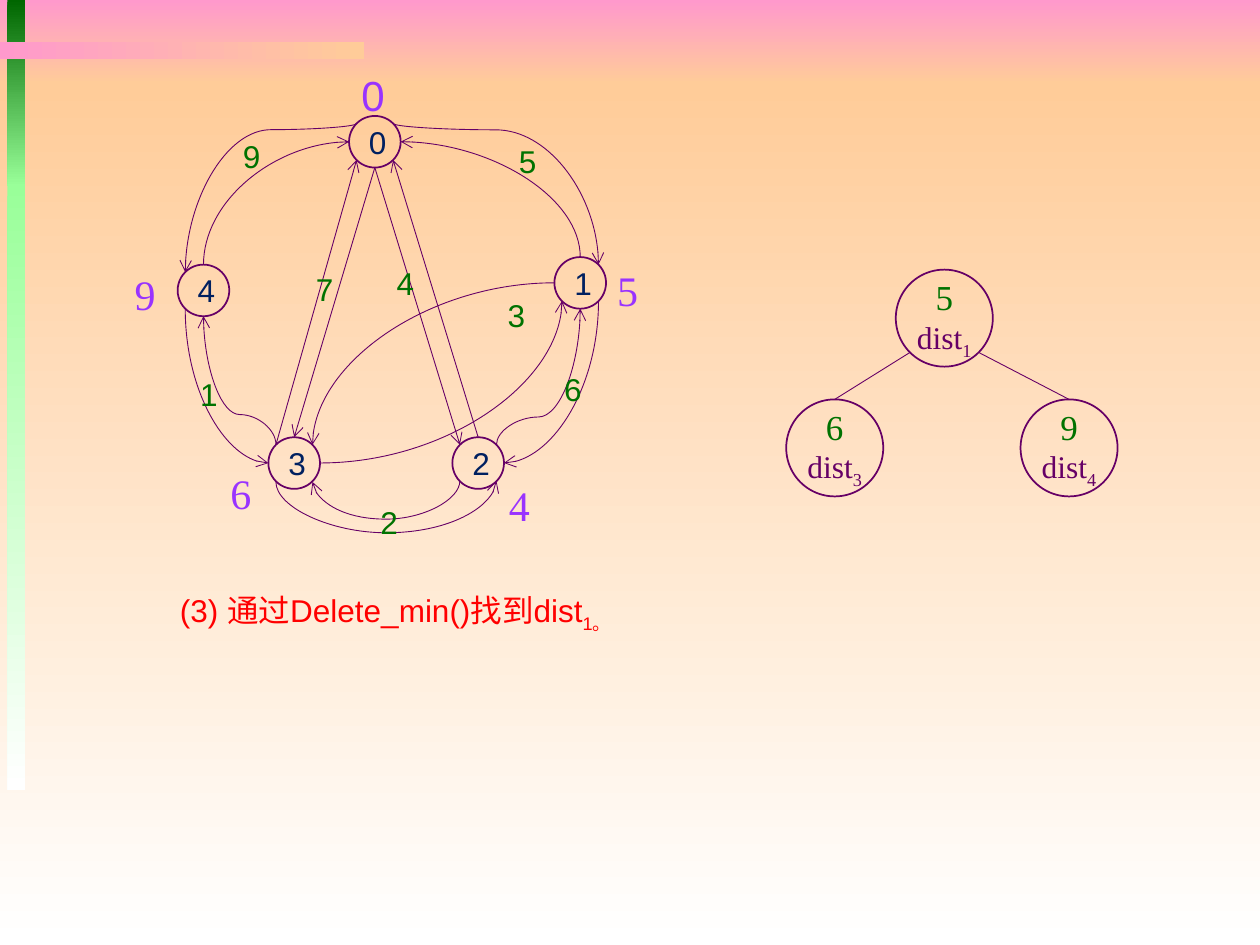
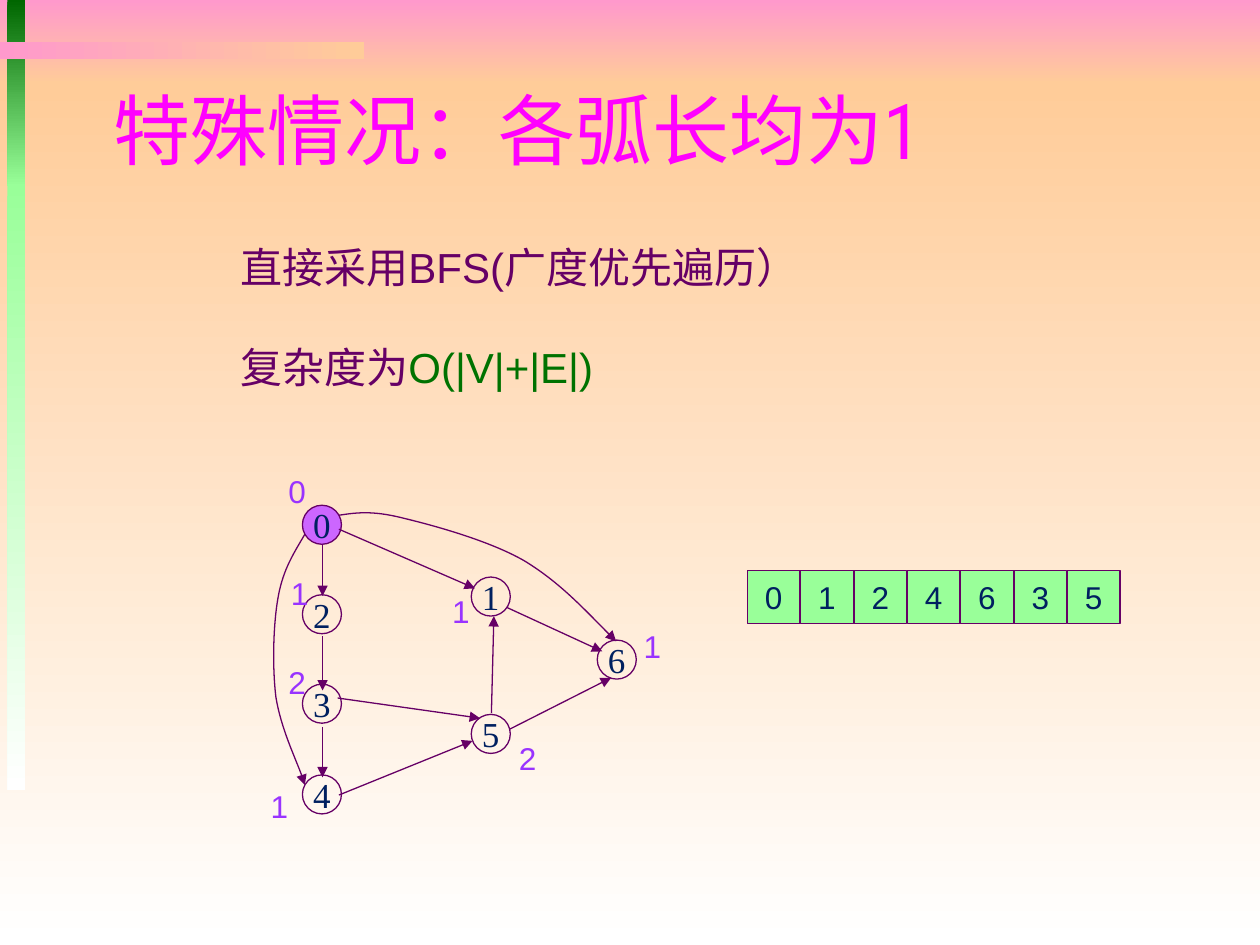
from collections import namedtuple
from math import cos, radians, sin

from lxml.etree import SubElement
from pptx import Presentation
from pptx.dml.color import RGBColor
from pptx.enum.shapes import MSO_CONNECTOR as Link, MSO_SHAPE as Preset
from pptx.enum.text import MSO_ANCHOR as Anchor, MSO_AUTO_SIZE as AutoSize, PP_ALIGN as Align
from pptx.oxml.ns import qn
from pptx.util import Inches, Pt

COLORS = {
    "pink": "FF99CC", "peach": "FFCC99", "white": "FFFFFF", "forest": "006600",
    "mint": "99FF99", "plum": "660066", "navy": "002060", "green": "007200",
    "violet": "9933FF", "orchid": "CC66FF", "red": "FF0000", "magenta": "FF00FF",
}
SANS, SERIF, TITLE = "Arial", "Times New Roman", "Roboto Condensed"
Node = namedtuple("Node", "shape x y radius")


def color(name):
    """Look up a colour of the palette."""
    return RGBColor.from_string(COLORS[name])


def add_run(para, text, size, font, tint, subscript=False):
    """Append one formatted run to a paragraph."""
    span = para.add_run()
    span.text = text
    span.font.size = Pt(size)
    span.font.name = font
    span.font.color.rgb = color(tint)
    if subscript:
        span.font._element.set("baseline", "-25000")


def add_text(page, at, runs, wrap=True, anchor=Anchor.TOP):
    """Add a text box holding one paragraph of runs and return its frame."""
    frame = page.shapes.add_textbox(*map(Inches, at)).text_frame
    frame.word_wrap = wrap
    frame.vertical_anchor = anchor
    frame.auto_size = AutoSize.SHAPE_TO_FIT_TEXT if anchor == Anchor.TOP else AutoSize.NONE
    for run in runs:
        add_run(frame.paragraphs[0], *run)
    return frame


def add_labels(page, labels, size, font, tint, width=0.34, height=0.4):
    """Place short labels given as (text, left, top)."""
    for text, left, top in labels:
        add_text(page, (left, top, width, height), [(text, size, font, tint)], wrap=False)


def add_shape(page, preset, at, fill=None, line_width=None):
    """Add a flat preset shape with optional fill and plum outline."""
    shape = page.shapes.add_shape(preset, *map(Inches, at))
    shape.shadow.inherit = False
    if fill:
        shape.fill.solid()
        shape.fill.fore_color.rgb = color(fill)
    else:
        shape.fill.background()
    if line_width:
        shape.line.color.rgb = color("plum")
        shape.line.width = Pt(line_width)
    else:
        shape.line.fill.background()
    shape.text_frame.vertical_anchor = Anchor.MIDDLE
    shape.text_frame.paragraphs[0].alignment = Align.CENTER
    return shape


def clear_insets(frame):
    """Remove the inner margins of a text frame."""
    frame.margin_left = frame.margin_right = frame.margin_top = frame.margin_bottom = 0


def add_node(page, left, top, size, line_width, fill=None):
    """Add a circle and return it with its centre and radius."""
    shape = add_shape(page, Preset.OVAL, (left, top, size, size), fill, line_width)
    return Node(shape, left + size / 2, top + size / 2, size / 2)


def style_line(shape, width, end=None, arrow=None):
    """Give a line its colour, width and optional arrowhead."""
    shape.line.color.rgb = color("plum")
    shape.line.width = Pt(width)
    if arrow:
        SubElement(shape._element.spPr.find(qn("a:ln")), qn(f"a:{end}End"), type=arrow)


def add_link(page, kind, start, end):
    """Add a connector without a shadow."""
    link = page.shapes.add_connector(kind, *map(Inches, (*start, *end)))
    SubElement(link._element.spPr, qn("a:effectLst"))
    return link


def site_point(node, site):
    """Return the point of one of the eight connection sites of a circle."""
    angle = radians(90 + 45 * site)
    return node.x + node.radius * cos(angle), node.y - node.radius * sin(angle)


def add_curve(page, start, end, sideways, bulge):
    """Add a curved connector leaving sideways or vertically, bent at the bulge."""
    dx, dy = end[0] - start[0], end[1] - start[1]
    if sideways:
        along, across = dx, dy
        turn, flip = (180, dy > 0) if dx < 0 else (0, dy < 0)
    else:
        along, across = dy, dx
        turn, flip = (270, dx < 0) if dy < -0.005 else (90, dx > 0)
    width, height = max(abs(along), 0.01), abs(across)
    left = (start[0] + end[0] - width) / 2
    top = (start[1] + end[1] - height) / 2
    link = add_link(page, Link.CURVE, (left, top), (left + width, top + height))
    frame = link._element.spPr.find(qn("a:xfrm"))
    frame.set("rot", str(turn * 60000))
    frame.set("flipV", str(int(flip)))
    geometry = link._element.spPr.find(qn("a:prstGeom"))
    geometry.set("prst", "curvedConnector3" if bulge else "curvedConnector2")
    if bulge:
        ratio = round(bulge / width * 100000)
        SubElement(geometry.find(qn("a:avLst")), qn("a:gd"), name="adj1", fmla=f"val {ratio}")
    return link


def join(page, first, first_site, second, second_site, end=None, bulge=0, straight=False):
    """Connect two circles at their sites."""
    start, stop = site_point(first, first_site), site_point(second, second_site)
    if straight:
        link = add_link(page, Link.STRAIGHT, start, stop)
    else:
        link = add_curve(page, start, stop, first_site in (2, 6), bulge)
    glue = link._element.find(qn("p:nvCxnSpPr")).find(qn("p:cNvCxnSpPr"))
    for tag, node, site in (("stCxn", first, first_site), ("endCxn", second, second_site)):
        SubElement(glue, qn(f"a:{tag}"), id=str(node.shape.shape_id), idx=str(site))
    style_line(link, 0.5, end, "arrow" if end else None)


def add_backdrop(page):
    """Draw the gradient bands shared by all slides."""
    bands = [
        ((0, 0, 10, 0.67), "pink", "peach", 270),
        ((0, 0.67, 10, 6.83), "peach", "white", 270),
        ((0.06, 0, 0.14, 1.48), "forest", "mint", 270),
        ((0.06, 1.46, 0.14, 4.81), "mint", "white", 270),
        ((0, 0.33, 2.89, 0.14), "pink", "peach", 0),
    ]
    for at, first, last, angle in bands:
        fill = add_shape(page, Preset.RECTANGLE, at).fill
        fill.gradient()
        fill.gradient_angle = angle
        for stop, name in zip(fill.gradient_stops, (first, last)):
            stop.color.rgb = color(name)


def add_weighted_graph(page, x, y):
    """Draw the weighted graph with its distances from the given corner."""
    places = [(1.8, 0.42), (3.43, 1.54), (2.62, 2.97), (1.16, 2.97), (0.44, 1.6)]
    nodes = []
    for number, (left, top) in enumerate(places):
        node = add_node(page, x + left, y + top, 0.41, 1)
        add_run(node.shape.text_frame.paragraphs[0], str(number), 18, SANS, "navy")
        nodes.append(node)
    curves = [
        (0, 1, 4, 1, "tail", 0.05), (3, 2, 4, 3, "head", 0), (1, 7, 0, 7, "head", 1.07),
        (2, 5, 3, 3, "head", 0.42), (1, 5, 2, 6, "tail", 0), (1, 2, 3, 7, "tail", 0),
        (2, 3, 3, 5, "tail", 0.31), (1, 3, 3, 6, "head", 0), (3, 1, 4, 4, "tail", 0.24),
        (1, 4, 2, 7, "head", 0.86), (0, 2, 4, 0, "head", 0), (1, 0, 0, 6, "tail", 0),
    ]
    for first, first_site, second, second_site, end, bulge in curves:
        join(page, nodes[first], first_site, nodes[second], second_site, end, bulge)
    spokes = [(2, 1, 4, "head"), (3, 0, 4, "head"), (3, 1, 3, "tail"), (2, 0, 5, "tail")]
    for outer, outer_site, hub_site, end in spokes:
        join(page, nodes[outer], outer_site, nodes[0], hub_site, end, straight=True)
    weights = [("9", 0.86, 0.54), ("5", 3.05, 0.58), ("4", 2.08, 1.55), ("7", 1.44, 1.59),
               ("1", 0.52, 2.43), ("2", 1.95, 3.44), ("3", 2.96, 1.8), ("6", 3.41, 2.39)]
    add_labels(page, [(text, x + left, y + top) for text, left, top in weights], 18, SANS, "green")
    add_labels(page, [("0", x + 1.8, y)], 24, SANS, "violet", 0.39, 0.5)
    distances = [("5", 3.83, 1.55), ("4", 2.97, 3.26), ("6", 0.76, 3.16), ("9", 0, 1.58)]
    add_labels(page, [(text, x + left, y + top) for text, left, top in distances],
               24, SERIF, "violet", 0.37, 0.5)


def add_heap(page, x, y):
    """Draw the min-heap of distances from the given corner."""
    items = [("5", "1", 0.87, 0), ("6", "3", 0, 1.03), ("9", "4", 1.86, 1.03)]
    nodes = []
    for value, index, left, top in items:
        node = add_node(page, x + left, y + top, 0.77, 1)
        clear_insets(node.shape.text_frame)
        para = node.shape.text_frame.paragraphs[0]
        add_run(para, value, 20, SERIF, "green")
        para.add_line_break()
        add_run(para, "dist", 18, SERIF, "plum")
        add_run(para, index, 18, SERIF, "plum", True)
        nodes.append(node)
    root, left_child, right_child = nodes
    join(page, left_child, 0, root, 3, straight=True)
    join(page, right_child, 0, root, 5, straight=True)


def add_arc(page, points):
    """Draw an arrow along cubic curves through the given control points."""
    spots = [(Inches(left), Inches(top)) for left, top in points]
    builder = page.shapes.build_freeform(*spots[0])
    builder.add_line_segments(spots[1:], close=False)
    arc = builder.convert_to_shape()
    arc.shadow.inherit = False
    arc.fill.background()
    style_line(arc, 0.75, "tail", "triangle")
    outline = next(arc._element.iter(qn("a:path")))
    steps = outline.findall(qn("a:lnTo"))
    for first in range(0, len(steps), 3):
        curve = SubElement(outline, qn("a:cubicBezTo"))
        for step in steps[first:first + 3]:
            curve.append(step[0])
            outline.remove(step)


def add_unit_graph(page, x, y):
    """Draw the graph of unit arcs with its levels from the given corner."""
    places = [(0.35, 0.31), (1.69, 0.88), (0.35, 1.02), (0.35, 1.73),
              (0.35, 2.45), (1.69, 1.97), (2.69, 1.38)]
    for number, (left, top) in enumerate(places):
        node = add_node(page, x + left, y + top, 0.31, 0.75, None if number else "orchid")
        node.shape.text_frame.word_wrap = False
        add_run(node.shape.text_frame.paragraphs[0], str(number), 20, SERIF, "navy")
    arrows = [
        (0.51, 0.62, 0.51, 1.03), (0.51, 1.35, 0.51, 1.78), (0.51, 2.07, 0.51, 2.47),
        (0.64, 0.5, 1.72, 0.97), (1.97, 1.12, 2.73, 1.47), (0.64, 2.61, 1.7, 2.18),
        (1.99, 2.09, 2.8, 1.68), (1.85, 1.96, 1.87, 1.19), (0.63, 1.84, 1.76, 2),
    ]
    for left, top, right, bottom in arrows:
        link = add_link(page, Link.STRAIGHT, (x + left, y + top), (x + right, y + bottom))
        style_line(link, 0.75, "tail", "triangle")
    arcs = [
        [(0.37, 0.54), (0.29, 0.68), (0.2, 0.81), (0.16, 1.03), (0.12, 1.24), (0.11, 1.58),
         (0.14, 1.83), (0.18, 2.08), (0.34, 2.41), (0.37, 2.53)],
        [(0.64, 0.39), (0.77, 0.37), (0.9, 0.35), (1.14, 0.41), (1.39, 0.47), (1.83, 0.59),
         (2.11, 0.75), (2.39, 0.92), (2.61, 1.16), (2.84, 1.39)],
    ]
    for arc in arcs:
        add_arc(page, [(x + left, y + top) for left, top in arc])
    levels = [("0", 0.14, 0), ("1", 1.44, 0.95), ("1", 2.96, 1.23), ("1", 0.16, 0.81),
              ("1", 0, 2.5), ("2", 0.14, 1.51), ("2", 1.97, 2.12)]
    add_labels(page, [(text, x + left, y + top) for text, left, top in levels], 18, SANS, "violet")


def add_queue(page, x, y, items):
    """Draw the visiting order as a row of square cells."""
    pitch = 2.54 / 6
    for column, item in enumerate(items):
        cell = add_shape(page, Preset.RECTANGLE, (x + column * pitch, y, 0.42, 0.42), "mint", 0.75)
        clear_insets(cell.text_frame)
        add_run(cell.text_frame.paragraphs[0], item, 18, SANS, "navy")


def build_shortest_path_slide(page):
    """Build the step that takes the nearest vertex from the heap."""
    add_backdrop(page)
    add_weighted_graph(page, 0.97, 0.5)
    add_heap(page, 6.24, 2.14)
    add_text(page, (1.33, 4.64, 3.98, 0.4), [
        ("(3) 通过Delete_min()找到dist", 18, SANS, "red"),
        ("1。", 18, SANS, "red", True),
    ])


def build_unit_length_slide(page):
    """Build the special case solved by breadth-first search."""
    add_backdrop(page)
    add_text(page, (0.8, 0.57, 8.5, 0.9),
             [("特殊情况：各弧长均为1", 44, TITLE, "magenta")], anchor=Anchor.MIDDLE)
    add_unit_graph(page, 2.05, 3.7)
    frame = add_text(page, (1.81, 1.87, 7.14, 1.31),
                     [("直接采用BFS(广度优先遍历）", 24, SANS, "plum")])
    para = frame.add_paragraph()
    para.space_before = Pt(28)
    add_run(para, "复杂度为", 24, SANS, "plum")
    add_run(para, "O(|V|+|E|)", 24, SANS, "green")
    add_queue(page, 5.93, 4.53, "0124635")


def main():
    """Create the deck and save it."""
    deck = Presentation()
    deck.slide_width, deck.slide_height = Inches(10), Inches(7.5)
    for build in (build_shortest_path_slide, build_unit_length_slide):
        build(deck.slides.add_slide(deck.slide_layouts[6]))
    deck.save("out.pptx")


if __name__ == "__main__":
    main()
